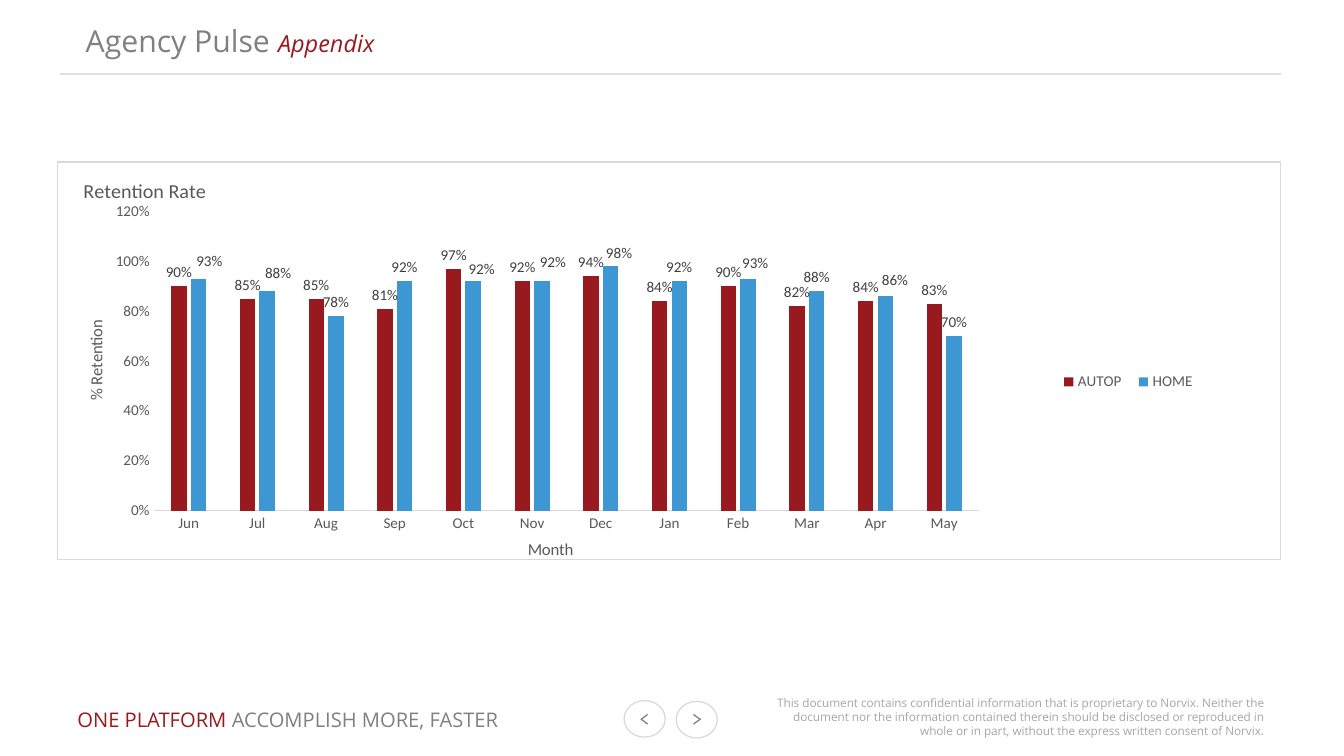
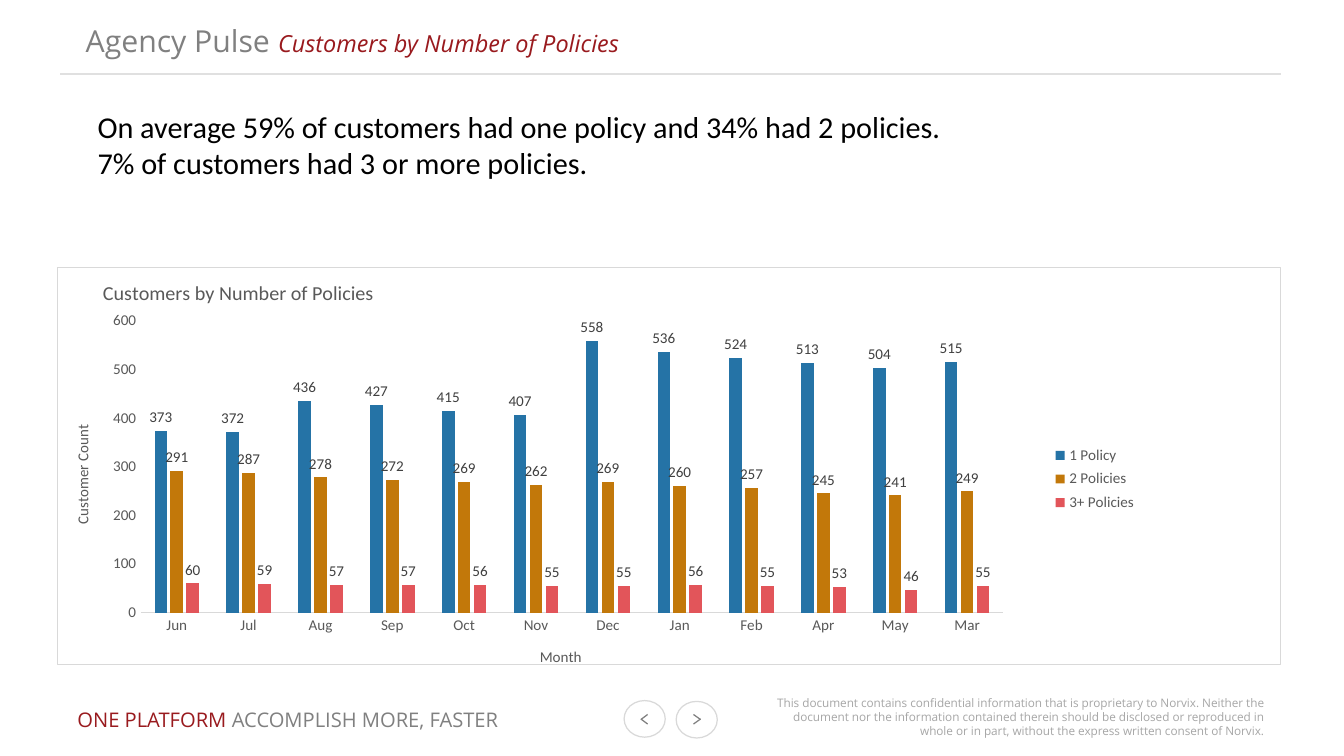
"""Build two agency report slides, each with a monthly column chart."""
from pptx import Presentation
from pptx.chart.data import CategoryChartData
from pptx.dml.color import RGBColor
from pptx.enum.chart import XL_CHART_TYPE, XL_LABEL_POSITION, XL_LEGEND_POSITION, XL_TICK_MARK
from pptx.enum.shapes import MSO_CONNECTOR, MSO_SHAPE
from pptx.enum.text import MSO_ANCHOR, PP_ALIGN
from pptx.oxml import parse_xml
from pptx.oxml.ns import nsdecls, qn
from pptx.oxml.xmlchemy import OxmlElement
from pptx.util import Pt

RED, GRAY, PALE, RULE = "991A1E", "808080", "A6A6A6", "E0E0E0"
EDGE, TEXT, LABEL, BLACK, WHITE = "D9D9D9", "595959", "404040", "000000", "FFFFFF"
SANS, BODY = "Open Sans", "Calibri"
THIN = Pt(0.75)
tint = RGBColor.from_string


def write(slide, spot, paras, anchor=MSO_ANCHOR.TOP, align=PP_ALIGN.LEFT, flush=False):
    """Add a text box made of paragraphs of (text, font, size, colour, italic) runs."""
    frame = slide.shapes.add_textbox(*map(Pt, spot)).text_frame
    frame.word_wrap = True
    frame.vertical_anchor = anchor
    if flush:
        frame.margin_left = frame.margin_right = frame.margin_top = frame.margin_bottom = 0
    for i, runs in enumerate(paras):
        para = frame.add_paragraph() if i else frame.paragraphs[0]
        para.alignment = align
        for words, face, size, hue, slant in runs:
            run = para.add_run()
            run.text = words
            run.font.name, run.font.size, run.font.italic = face, Pt(size), slant
            run.font.color.rgb = tint(hue)


def place(node, index, spot, shift=False):
    """Give a chart part a manual layout, in percent of the chart."""
    old = node.find(qn("c:layout"))
    if old is not None:
        node.remove(old)
    layout = OxmlElement("c:layout")
    manual = OxmlElement("c:manualLayout")
    layout.append(manual)
    pairs = [("layoutTarget", "inner")] if node.tag == qn("c:plotArea") else []
    if not shift:
        pairs += [("xMode", "edge"), ("yMode", "edge")]
    pairs += [(key, str(part / 100)) for key, part in zip("xywh", spot)]
    for key, value in pairs:
        item = OxmlElement("c:" + key)
        item.set("val", value)
        manual.append(item)
    node.insert(index, layout)


pages = [
    {
        "name": "Appendix", "note": [], "top": 96, "format": "0%", "max": 1.2, "step": 0.2,
        "months": "Jun Jul Aug Sep Oct Nov Dec Jan Feb Mar Apr May",
        "series": [
            ("AUTOP", RED, [0.9, 0.85, 0.85, 0.81, 0.97, 0.92, 0.94, 0.84, 0.9, 0.82, 0.84, 0.83]),
            ("HOME", "3C97D3", [0.93, 0.88, 0.78, 0.92, 0.92, 0.92, 0.98, 0.92, 0.93, 0.88, 0.86, 0.7]),
        ],
        "shifts": {0: (0.9, -1), 1: (0.9, -1), 4: (0.7, 0.5), 5: (0.9, -1.5),
                   6: (0.7, 0), 8: (0.6, -0.5), 10: (0.8, -0.5)},
        "plot": (7.9, 12.5, 67.4, 75.2), "legend": (81.3, 52.3, 12.5, 6),
        "heads": [("Retention Rate", 12, (1.8, 3)), ("Month", 10, (38.2, 94)),
                  ("% Retention", 10, (2, 39.2))],
    },
    {
        "name": "Customers by Number of Policies",
        "note": ["On average 59% of customers had one policy and 34% had 2 policies.",
                 "7% of customers had 3 or more policies."],
        "top": 159, "format": "General", "max": 600, "step": 100,
        "months": "Jun Jul Aug Sep Oct Nov Dec Jan Feb Apr May Mar",
        "series": [
            ("1 Policy", "2573A6", [373, 372, 436, 427, 415, 407, 558, 536, 524, 513, 504, 515]),
            ("2 Policies", "C2780A", [291, 287, 278, 272, 269, 262, 269, 260, 257, 245, 241, 249]),
            ("3+ Policies", "E2555A", [60, 59, 57, 57, 56, 55, 55, 56, 55, 53, 46, 55]),
        ],
        "shifts": {},
        "plot": (6.8, 13.4, 70.5, 73.5), "legend": (80.3, 43.5, 9, 19.5),
        "heads": [("Customers by Number of Policies", 12, (3.4, 2)), ("Month", 9, (39.2, 94.8)),
                  ("Customer Count", 9, (1, 39.2))],
    },
]

strokes = [
    (762.5, 44, 35.5, 44, RULE),
    (381.5, 428.3, 385.5, 425.3, GRAY),
    (381.5, 428, 385.5, 431, GRAY),
    (417, 428, 412.8, 431, GRAY),
    (417, 428.3, 412.8, 425.3, GRAY),
]
legal = ("This document contains confidential information that is proprietary to Norvix. "
         "Neither the document nor the information contained therein should be disclosed or "
         "reproduced in whole or in part, without the express written consent of Norvix.")

deck = Presentation()
deck.slide_width, deck.slide_height = Pt(800), Pt(450)

for page in pages:
    slide = deck.slides.add_slide(deck.slide_layouts[6])

    for left, top in ((371.5, 417), (402.5, 417.5)):
        disc = slide.shapes.add_shape(MSO_SHAPE.OVAL, Pt(left), Pt(top), Pt(24.5), Pt(21.8))
        disc.shadow.inherit = False
        disc.fill.solid()
        disc.fill.fore_color.rgb = tint(WHITE)
        disc.line.color.rgb = tint(EDGE)
        disc.line.width = THIN
    for *ends, hue in strokes:
        line = slide.shapes.add_connector(MSO_CONNECTOR.STRAIGHT, *map(Pt, ends))
        line.line.color.rgb = tint(hue)
        line.line.width = THIN
        line.element.spPr.append(OxmlElement("a:effectLst"))
    write(slide, (39, 417.5, 363.5, 21.8),
          [[("ONE PLATFORM ", SANS, 12, RED, False),
            ("ACCOMPLISH MORE, FASTER", SANS, 12, GRAY, False)]], MSO_ANCHOR.MIDDLE)
    write(slide, (445.5, 410.5, 314, 32.5), [[(legal, SANS, 7, PALE, False)]], align=PP_ALIGN.RIGHT)

    write(slide, (51, 10, 578, 28),
          [[("Agency Pulse ", SANS, 18, GRAY, False), (page["name"], SANS, 14, RED, True)]],
          MSO_ANCHOR.MIDDLE, flush=True)
    if page["note"]:
        write(slide, (51, 61, 698.5, 73),
              [[(words, BODY, 18, BLACK, False)] for words in page["note"]])

    data = CategoryChartData(number_format=page["format"])
    data.categories = page["months"].split()
    for name, hue, values in page["series"]:
        data.add_series(name, values)
    chart = slide.shapes.add_chart(XL_CHART_TYPE.COLUMN_CLUSTERED, Pt(34), Pt(page["top"]),
                                   Pt(728.7), Pt(240), data).chart
    chart.font.name, chart.font.size = BODY, Pt(10)
    chart.font.color.rgb = tint(BLACK)
    plot = chart.plots[0]
    plot.vary_by_categories = False
    plot.gap_width, plot.overlap = 219, -27

    for bars, (name, hue, values) in zip(plot.series, page["series"]):
        bars.format.fill.solid()
        bars.format.fill.fore_color.rgb = tint(hue)
        tags = bars.data_labels
        tags.show_value = True
        tags.position = XL_LABEL_POSITION.OUTSIDE_END
        tags.number_format, tags.number_format_is_linked = page["format"], False
        fonts = [tags.font]
        if name == "HOME":
            for i in page["shifts"]:
                tag = bars.points[i].data_label
                tag.position = XL_LABEL_POSITION.OUTSIDE_END
                fonts.append(tag.font)
        for font in fonts:
            font.name, font.size = BODY, Pt(9)
            font.color.rgb = tint(LABEL)
    for node, spot in zip(chart.element.xpath(".//c:dLbl"), page["shifts"].values()):
        place(node, 1, spot, shift=True)

    across, up = chart.category_axis, chart.value_axis
    across.format.line.color.rgb = tint(EDGE)
    across.format.line.width = THIN
    up.format.line.fill.background()
    up.has_major_gridlines = False
    up.minimum_scale, up.maximum_scale, up.major_unit = 0, page["max"], page["step"]
    up.tick_labels.number_format = page["format"]
    up.tick_labels.number_format_is_linked = False
    across.major_tick_mark = up.major_tick_mark = XL_TICK_MARK.NONE

    chart.has_legend = True
    chart.legend.position = XL_LEGEND_POSITION.RIGHT
    chart.legend.include_in_layout = False
    for font in (across.tick_labels.font, up.tick_labels.font, chart.legend.font):
        font.name, font.size = BODY, Pt(9)
        font.color.rgb = tint(TEXT)

    heads = (chart.chart_title, across.axis_title, up.axis_title)
    for head, (words, size, spot) in zip(heads, page["heads"]):
        para = head.text_frame.paragraphs[0]
        run = para.add_run()
        run.text = words
        run.font.name, run.font.size, run.font.bold = BODY, Pt(size), False
        run.font.color.rgb = tint(TEXT)
        place(head.element, 1, spot)
    up.axis_title.element.xpath(".//a:bodyPr")[0].set("rot", "-5400000")
    place(chart.element.xpath(".//c:plotArea")[0], 0, page["plot"])
    place(chart.element.xpath(".//c:legend")[0], 1, page["legend"])
    chart.element.xpath("c:chart")[0].addnext(parse_xml(
        f'<c:spPr {nsdecls("c", "a")}><a:noFill/><a:ln w="{THIN}"><a:solidFill>'
        f'<a:srgbClr val="{EDGE}"/></a:solidFill></a:ln></c:spPr>'))

deck.save("out.pptx")
